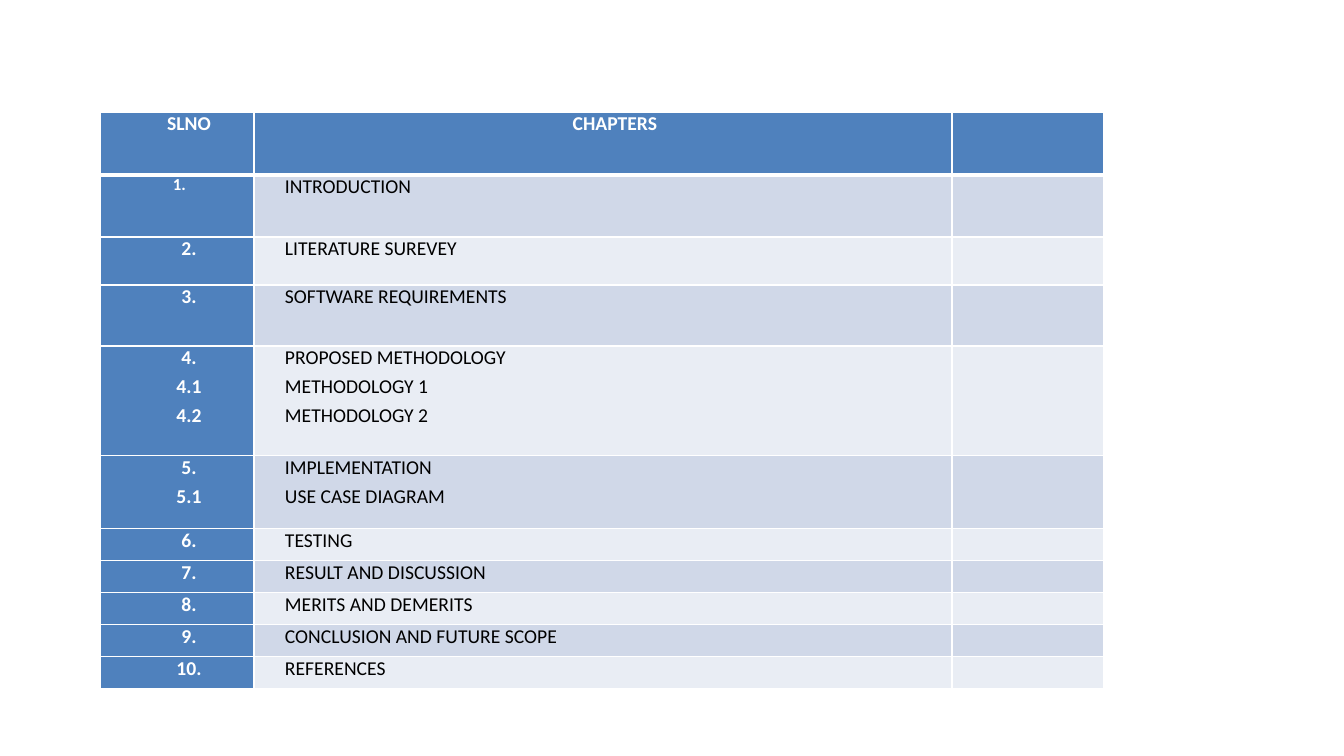
from dataclasses import dataclass

from lxml.etree import SubElement
from pptx import Presentation
from pptx.dml.color import RGBColor
from pptx.enum.text import PP_ALIGN
from pptx.oxml.ns import qn
from pptx.util import Pt

EMU_PER_PX = 914400 / 100.8


@dataclass(frozen=True)
class Theme:
    font: str = "Calibri"
    accent: str = "4F81BD"
    bands: tuple = ("D0D8E8", "E9EDF4")
    light: str = "FFFFFF"
    dark: str = "000000"
    text_size: int = 14
    small_size: int = 12
    space_before: float = 3.8
    line: int = 1
    header_line: int = 3


THEME = Theme()
COLUMN_WIDTHS = (154, 698, 152)
# Row height, numbers, chapter titles
CHAPTERS = (
    (62, ["1."], ["INTRODUCTION"]),
    (48, ["2."], ["LITERATURE SUREVEY"]),
    (61, ["3."], ["SOFTWARE REQUIREMENTS"]),
    (110, ["4.", "4.1", "4.2"], ["PROPOSED METHODOLOGY", "METHODOLOGY 1", "METHODOLOGY 2"]),
    (73, ["5.", "5.1"], ["IMPLEMENTATION", "USE CASE DIAGRAM"]),
    (32, ["6."], ["TESTING"]),
    (32, ["7."], ["RESULT AND DISCUSSION"]),
    (32, ["8."], ["MERITS AND DEMERITS"]),
    (32, ["9."], ["CONCLUSION AND FUTURE SCOPE"]),
    (32, ["10."], ["REFERENCES"]),
)


def px(length):
    return round(length * EMU_PER_PX)


def set_format(target, values):
    for name, value in values.items():
        setattr(target, name, value)


def style_cell(cell, fill, top, bottom):
    """Set the insets, the borders (widths in points) and the fill of a cell."""
    set_format(cell, {"margin_left": px(7), "margin_right": px(7),
                      "margin_top": 0, "margin_bottom": 0})
    properties = cell._tc.get_or_add_tcPr()
    sides = {"lnL": THEME.line, "lnR": THEME.line, "lnT": top, "lnB": bottom}
    for side, width in sides.items():
        border = SubElement(properties, qn(f"a:{side}"), w=str(Pt(width)))
        solid = SubElement(border, qn("a:solidFill"))
        SubElement(solid, qn("a:srgbClr"), val=THEME.light)
    cell.fill.solid()
    cell.fill.fore_color.rgb = RGBColor.from_string(fill)


def write_cell(cell, lines, color, bold=False, align=PP_ALIGN.LEFT,
               size=THEME.text_size, margin=53, indent=-29):
    """Write one paragraph a line; an empty cell only gets its type size."""
    frame = cell.text_frame
    if not lines:
        SubElement(frame.paragraphs[0]._p, qn("a:endParaRPr"), sz=str(size * 100))
    for index, line in enumerate(lines):
        para = frame.add_paragraph() if index else frame.paragraphs[0]
        set_format(para, {"alignment": align, "space_before": Pt(THEME.space_before)})
        indents = para._p.get_or_add_pPr()
        indents.set("marL", str(px(margin)))
        indents.set("indent", str(px(indent)))
        span = para.add_run()
        span.text = line
        set_format(span.font, {"name": THEME.font, "size": Pt(size), "bold": bold})
        span.font.color.rgb = RGBColor.from_string(color)


def add_chapter_table(page, left, top):
    rows = ((63, ["SLNO"], ["CHAPTERS"]), *CHAPTERS)
    frame = page.shapes.add_table(
        len(rows), len(COLUMN_WIDTHS), px(left), px(top),
        px(sum(COLUMN_WIDTHS)), px(sum(row[0] for row in rows)))
    table = frame.table
    table.horz_banding = False
    for column, width in zip(table.columns, COLUMN_WIDTHS):
        column.width = px(width)

    heading = {"color": THEME.light, "bold": True, "align": PP_ALIGN.CENTER}
    first_number = {**heading, "align": PP_ALIGN.LEFT, "size": THEME.small_size,
                    "margin": 66, "indent": 0}
    body = {"color": THEME.dark}
    for index, (height, numbers, titles) in enumerate(rows):
        table.rows[index].height = px(height)
        is_header = index == 0
        band = THEME.accent if is_header else THEME.bands[(index - 1) % 2]
        top_line = THEME.header_line if index == 1 else THEME.line
        bottom_line = THEME.header_line if is_header else THEME.line
        columns = (
            (numbers, THEME.accent, first_number if index == 1 else heading),
            (titles, band, heading if is_header else body),
            ([], band, body),
        )
        for position, (lines, fill, text_format) in enumerate(columns):
            cell = table.cell(index, position)
            style_cell(cell, fill, top_line, bottom_line)
            write_cell(cell, lines, **text_format)


def main():
    deck = Presentation()
    set_format(deck, {"slide_width": px(1344), "slide_height": px(756)})
    page = deck.slides.add_slide(deck.slide_layouts[6])
    add_chapter_table(page, left=100, top=112)
    deck.save("out.pptx")


if __name__ == "__main__":
    main()
